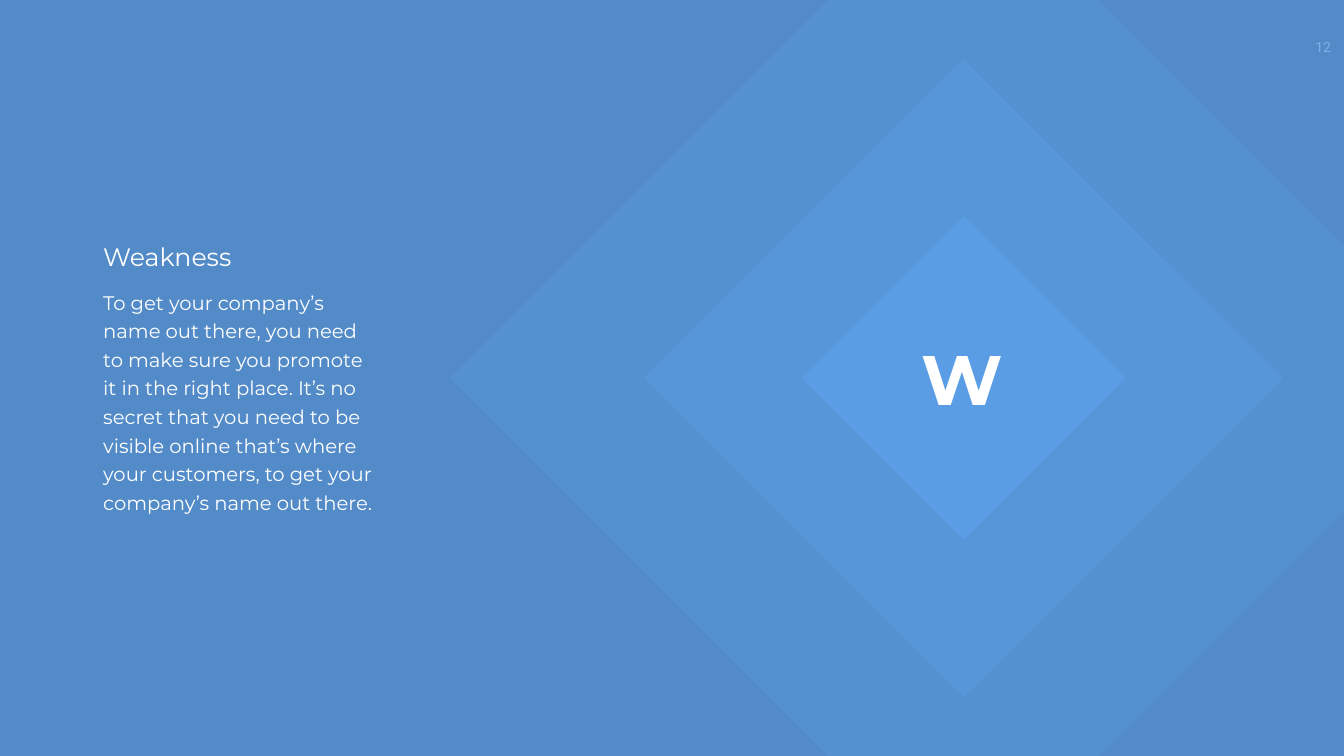
"""Build the Weakness slide: a text column beside three nested diamonds."""
import lxml.etree
import pptx
import pptx.dml.color
import pptx.enum.shapes
import pptx.enum.text
import pptx.oxml.ns
import pptx.util

Cm = pptx.util.Cm
Pt = pptx.util.Pt
RGBColor = pptx.dml.color.RGBColor
ALIGN = pptx.enum.text.PP_ALIGN

BACKGROUND = RGBColor(0x36, 0x45, 0x56)
BLUE = RGBColor(0x5B, 0x9D, 0xE5)
WHITE = RGBColor(0xFF, 0xFF, 0xFF)

SLIDE_WIDTH, SLIDE_HEIGHT = 67.72, 38.1
OVERLAY_OPACITY = 80
DIAMOND_CENTER = (48.55, 19.06)
DIAMONDS = [(36.6, 30), (22.76, 50), (11.53, 100)]

PAGE_NUMBER = dict(text="12", box=(65.63, 1.7, 2.08, 1.37), size=20,
                   font="Roboto", align=ALIGN.CENTER, wrap=False, inset=0.25)
TEXTS = [
    dict(text="To get your company’s name out there, you need to make sure you "
              "promote it in the right place. It’s no secret that you need to be "
              "visible online that’s where your customers, to get your company’s "
              "name out there.",
         box=(4.95, 14.27, 14.3, 11.81), size=28, line_spacing=40.8),
    dict(text="Weakness", box=(4.95, 12.01, 12.22, 1.8), size=36),
    dict(text="W", box=(44.68, 16.79, 7.57, 4.52), size=100, bold=True,
         align=ALIGN.CENTER),
]


def add_rectangle(slide, box, opacity, rotation=0):
    shape = slide.shapes.add_shape(pptx.enum.shapes.MSO_SHAPE.RECTANGLE, *map(Cm, box))
    shape.rotation = rotation
    shape.shadow.inherit = False
    shape.line.fill.background()
    shape.fill.solid()
    shape.fill.fore_color.rgb = BLUE
    if opacity < 100:
        color = shape.element.spPr.find(".//" + pptx.oxml.ns.qn("a:srgbClr"))
        alpha = lxml.etree.SubElement(color, pptx.oxml.ns.qn("a:alpha"))
        alpha.set("val", str(opacity * 1000))


def add_text(slide, text, box, size, font="Montserrat", bold=False,
             align=ALIGN.LEFT, line_spacing=None, wrap=True, inset=0.13):
    frame = slide.shapes.add_textbox(*map(Cm, box)).text_frame
    frame.word_wrap = wrap
    frame.margin_top = frame.margin_bottom = Cm(inset)
    paragraph = frame.paragraphs[0]
    paragraph.text = text
    paragraph.alignment = align
    if line_spacing:
        paragraph.line_spacing = Pt(line_spacing)
    paragraph.font.name = font
    paragraph.font.size = Pt(size)
    paragraph.font.bold = bold
    paragraph.font.color.rgb = WHITE


def main():
    presentation = pptx.Presentation()
    presentation.slide_width = Cm(SLIDE_WIDTH)
    presentation.slide_height = Cm(SLIDE_HEIGHT)
    slide = presentation.slides.add_slide(presentation.slide_layouts[6])
    slide.background.fill.solid()
    slide.background.fill.fore_color.rgb = BACKGROUND

    add_text(slide, **PAGE_NUMBER)
    add_rectangle(slide, (0, 0, SLIDE_WIDTH, SLIDE_HEIGHT), OVERLAY_OPACITY)
    center_x, center_y = DIAMOND_CENTER
    for side, opacity in DIAMONDS:
        box = (center_x - side / 2, center_y - side / 2, side, side)
        add_rectangle(slide, box, opacity, rotation=45)
    for text in TEXTS:
        add_text(slide, **text)

    presentation.save("out.pptx")


if __name__ == "__main__":
    main()
